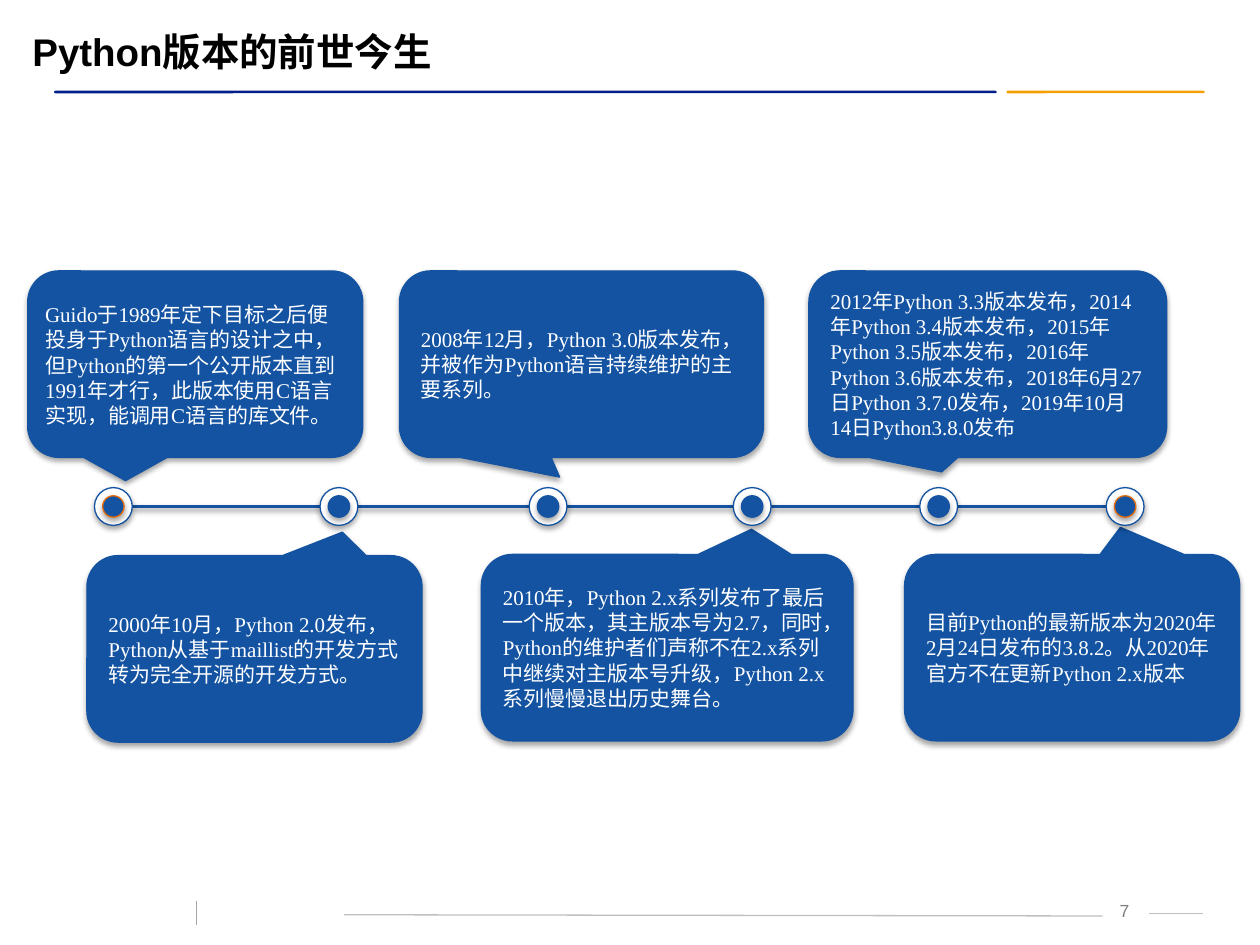
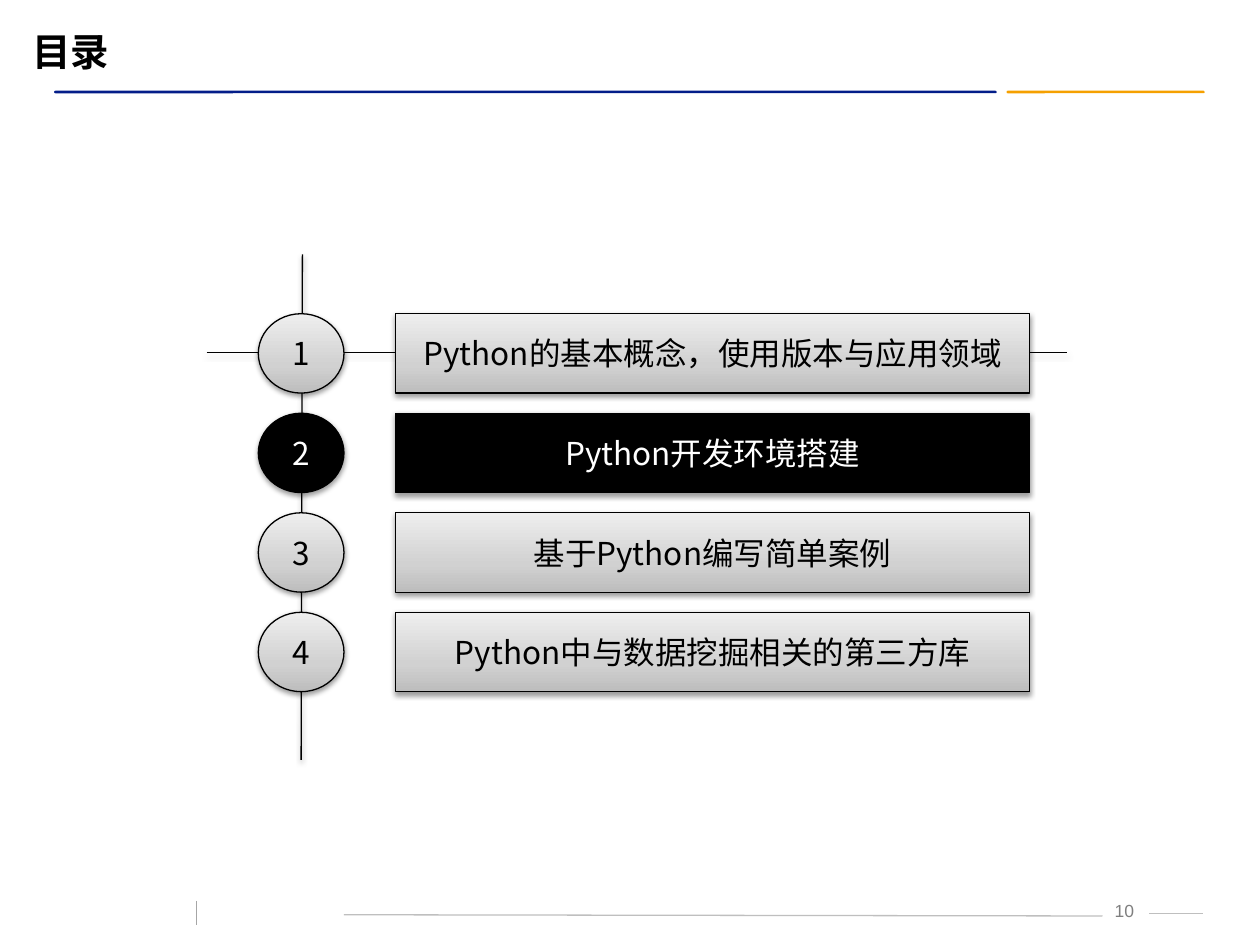
from dataclasses import dataclass

from lxml import etree
from pptx import Presentation
from pptx.dml.color import RGBColor
from pptx.enum import shapes, text
from pptx.oxml.ns import qn
from pptx.util import Inches, Pt


@dataclass(frozen=True)
class Theme:
    navy: str = "031D89"
    amber: str = "F5A000"
    blue: str = "1353A2"
    orange: str = "E46C0A"
    white: str = "FFFFFF"
    black: str = "000000"
    footer_line: str = "BFBFBF"
    footer_tick: str = "A6A6A6"
    footer_text: str = "7F7F7F"
    silver: tuple = ((0, "BDBDBD"), (35, "D1D1D1"), (100, "EEEEEE"))
    title_font: str = "Arial"
    body_font: str = "Times New Roman"
    cjk_font: str = "Noto Sans CJK SC"
    title_size: float = 22
    agenda_size: float = 18
    body_size: float = 12
    footer_size: float = 10
    thin: float = 0.75
    thick: float = 2
    # opacity in percent, distance in points
    node_shadow: tuple = (35, 1.8)
    line_shadow: tuple = (38, 1.6)


THEME = Theme()
SHAPE = shapes.MSO_SHAPE
CENTER = text.PP_ALIGN.CENTER
MIDDLE = text.MSO_ANCHOR.MIDDLE

# Timeline
AXIS_Y = 4.02
NODE_SIZE = 0.3
DOT_SIZE = 0.17
NODE_CENTERS = [0.9, 2.69, 4.35, 5.97, 7.45, 8.93]
CALLOUT_HEIGHT = 1.48
GUIDO = ("Guido于1989年定下目标之后便投身于Python语言的设计之中，但Python的第一个公开"
         "版本直到1991年才行，此版本使用C语言实现，能调用C语言的库文件。")
# left, top, width, pointer x, pointer y, wording
CALLOUTS = [
    (0.22, 2.15, 2.66, -0.208, 0.625, ""),
    (0.69, 4.41, 2.66, 0.262, -0.626,
     "2000年10月，Python 2.0发布，Python从基于maillist的开发方式转为完全开源的开发方式。"),
    (3.17, 2.15, 2.89, -0.06, 0.606,
     "2008年12月，Python 3.0版本发布，并被作为Python语言持续维护的主要系列。"),
    (3.82, 4.4, 2.95, 0.227, -0.635,
     "2010年，Python 2.x系列发布了最后一个版本，其主版本号为2.7，同时，Python的维护者们"
     "声称不在2.x系列中继续对主版本号升级，Python 2.x系列慢慢退出历史舞台。"),
    (6.42, 2.15, 2.84, -0.129, 0.578,
     "2012年Python 3.3版本发布，2014年Python 3.4版本发布，2015年Python 3.5版本发布，"
     "2016年Python 3.6版本发布，2018年6月27日Python 3.7.0发布，"
     "2019年10月14日Python3.8.0发布"),
    (7.18, 4.4, 2.66, 0.144, -0.645,
     "目前Python的最新版本为2020年2月24日发布的3.8.2。从2020年官方不在更新Python 2.x版本"),
]

# Agenda
AGENDA_TOP = 2.49
AGENDA_PITCH = 0.79
AGENDA_HEIGHT = 0.63
CURRENT_TOPIC = 2
TOPICS = [
    "Python的基本概念，使用版本与应用领域",
    "Python开发环境搭建",
    "基于Python编写简单案例",
    "Python中与数据挖掘相关的第三方库",
]


def rgb(color):
    return RGBColor.from_string(color)


def set_shadow(item, shadow=None):
    """Give a shape or connector a soft downward shadow, or none at all."""
    effects = etree.SubElement(item._element.spPr, qn("a:effectLst"))
    if shadow:
        opacity, distance = shadow
        outer = etree.SubElement(
            effects, qn("a:outerShdw"), blurRad=str(Pt(3.1)),
            dist=str(Pt(distance)), dir="5400000", rotWithShape="0")
        color = etree.SubElement(outer, qn("a:srgbClr"), val=THEME.black)
        etree.SubElement(color, qn("a:alpha"), val=str(opacity * 1000))


def set_fill(item, fill):
    """Fill with one colour, or with (percent, colour) stops from the bottom up."""
    if isinstance(fill, str):
        item.fill.solid()
        item.fill.fore_color.rgb = rgb(fill)
        return
    item.fill.gradient()
    item.fill.gradient_angle = 90
    stops = item._element.spPr.find(".//" + qn("a:gsLst"))
    for old_stop in list(stops):
        stops.remove(old_stop)
    for percent, color in fill:
        stop = etree.SubElement(stops, qn("a:gs"), pos=str(percent * 1000))
        etree.SubElement(stop, qn("a:srgbClr"), val=color)


def write(item, words, size=THEME.body_size, font=THEME.body_font,
          color=THEME.white, bold=False, align=text.PP_ALIGN.LEFT,
          anchor=MIDDLE, wrap=True):
    frame = item.text_frame
    frame.word_wrap = wrap
    frame.vertical_anchor = anchor
    paragraph = frame.paragraphs[0]
    paragraph.alignment = align
    run = paragraph.add_run()
    run.text = words
    run.font.size = Pt(size)
    run.font.name = font
    run.font.bold = bold
    run.font.color.rgb = rgb(color)
    etree.SubElement(run.font._element, qn("a:ea"), typeface=THEME.cjk_font)


def add_label(slide, box, words, **style):
    label = slide.shapes.add_textbox(*map(Inches, box))
    write(label, words, **style)


def add_block(slide, kind, box, fill, line=None, shadow=None, adjust=()):
    block = slide.shapes.add_shape(kind, *map(Inches, box))
    for index, value in enumerate(adjust):
        block.adjustments[index] = value
    set_fill(block, fill)
    if line:
        block.line.color.rgb = rgb(line)
        block.line.width = Pt(THEME.thin)
    else:
        block.line.fill.background()
    set_shadow(block, shadow)
    return block


def add_line(slide, start, end, color, width=THEME.thin, shadow=None):
    line = slide.shapes.add_connector(
        shapes.MSO_CONNECTOR.STRAIGHT, *map(Inches, (*start, *end)))
    line.line.color.rgb = rgb(color)
    line.line.width = Pt(width)
    set_shadow(line, shadow)


def add_page(deck, title, number):
    """Start a slide with the shared title, header rules and footer."""
    slide = deck.slides.add_slide(deck.slide_layouts[6])
    # Header
    for left, width, color, rounding in ((7.99, 1.57, THEME.amber, 0.36),
                                         (0.43, 7.48, THEME.navy, 0.5)):
        add_block(slide, SHAPE.ROUNDED_RECTANGLE, (left, 0.72, width, 0.02),
                  color, adjust=[rounding])
    add_label(slide, (0.16, 0.17, 9.1, 0.47), title, size=THEME.title_size,
              font=THEME.title_font, color=THEME.black, bold=True)
    # Footer
    add_label(slide, (8.67, 7.09, 0.47, 0.25), f" {number}",
              size=THEME.footer_size, font=THEME.title_font,
              color=THEME.footer_text, align=CENTER, anchor=text.MSO_ANCHOR.TOP)
    add_line(slide, (2.73, 7.26), (8.75, 7.27), THEME.footer_line)
    add_line(slide, (9.12, 7.25), (9.55, 7.25), THEME.footer_line)
    add_line(slide, (1.56, 7.15), (1.56, 7.34), THEME.footer_tick)
    return slide


def add_node(slide, center, ring):
    for size, fill, line in ((NODE_SIZE, THEME.white, THEME.blue),
                             (DOT_SIZE, THEME.blue, ring)):
        box = (center - size / 2, AXIS_Y - size / 2, size, size)
        add_block(slide, SHAPE.OVAL, box, fill, line, THEME.node_shadow)


def add_callout(slide, left, top, width, pointer_x, pointer_y, words):
    callout = add_block(
        slide, SHAPE.ROUNDED_RECTANGULAR_CALLOUT,
        (left, top, width, CALLOUT_HEIGHT), THEME.blue, THEME.blue,
        THEME.node_shadow, adjust=(pointer_x, pointer_y, 0.167))
    if words:
        write(callout, words)


def add_topic(slide, number, words):
    current = number == CURRENT_TOPIC
    fill = THEME.black if current else THEME.silver
    color = THEME.white if current else THEME.black
    top = AGENDA_TOP + (number - 1) * AGENDA_PITCH
    for kind, left, width, label in (
            (SHAPE.OVAL, 2.05, 0.68, str(number)),
            (SHAPE.ACTION_BUTTON_CUSTOM, 3.14, 5.03, words)):
        block = add_block(slide, kind, (left, top, width, AGENDA_HEIGHT),
                          fill, THEME.black, THEME.line_shadow)
        write(block, label, size=THEME.agenda_size, font=THEME.cjk_font,
              color=color, align=CENTER, wrap=False)


def build_timeline(deck):
    slide = add_page(deck, "Python版本的前世今生", 7)
    for callout in CALLOUTS:
        add_callout(slide, *callout)
    add_label(slide, (0.26, 2.21, 2.58, 1.37), GUIDO)
    # Axis between neighbouring nodes
    radius = NODE_SIZE / 2
    for left, right in zip(NODE_CENTERS, NODE_CENTERS[1:]):
        add_line(slide, (left + radius, AXIS_Y), (right - radius, AXIS_Y),
                 THEME.blue, THEME.thick, THEME.line_shadow)
    # Nodes, with the two ends ringed in orange
    for center in NODE_CENTERS:
        is_end = center in (NODE_CENTERS[0], NODE_CENTERS[-1])
        add_node(slide, center, THEME.orange if is_end else THEME.blue)


def build_agenda(deck):
    slide = add_page(deck, "目录", 10)
    # Crossing guide lines
    for start, end in (((2.4, 2.02), (2.39, 6.03)), ((1.64, 2.8), (8.47, 2.8))):
        add_line(slide, start, end, THEME.black, shadow=THEME.line_shadow)
    for number, words in enumerate(TOPICS, 1):
        add_topic(slide, number, words)


def main():
    deck = Presentation()
    deck.slide_width, deck.slide_height = Inches(10), Inches(7.5)
    build_timeline(deck)
    build_agenda(deck)
    deck.save("out.pptx")


if __name__ == "__main__":
    main()
